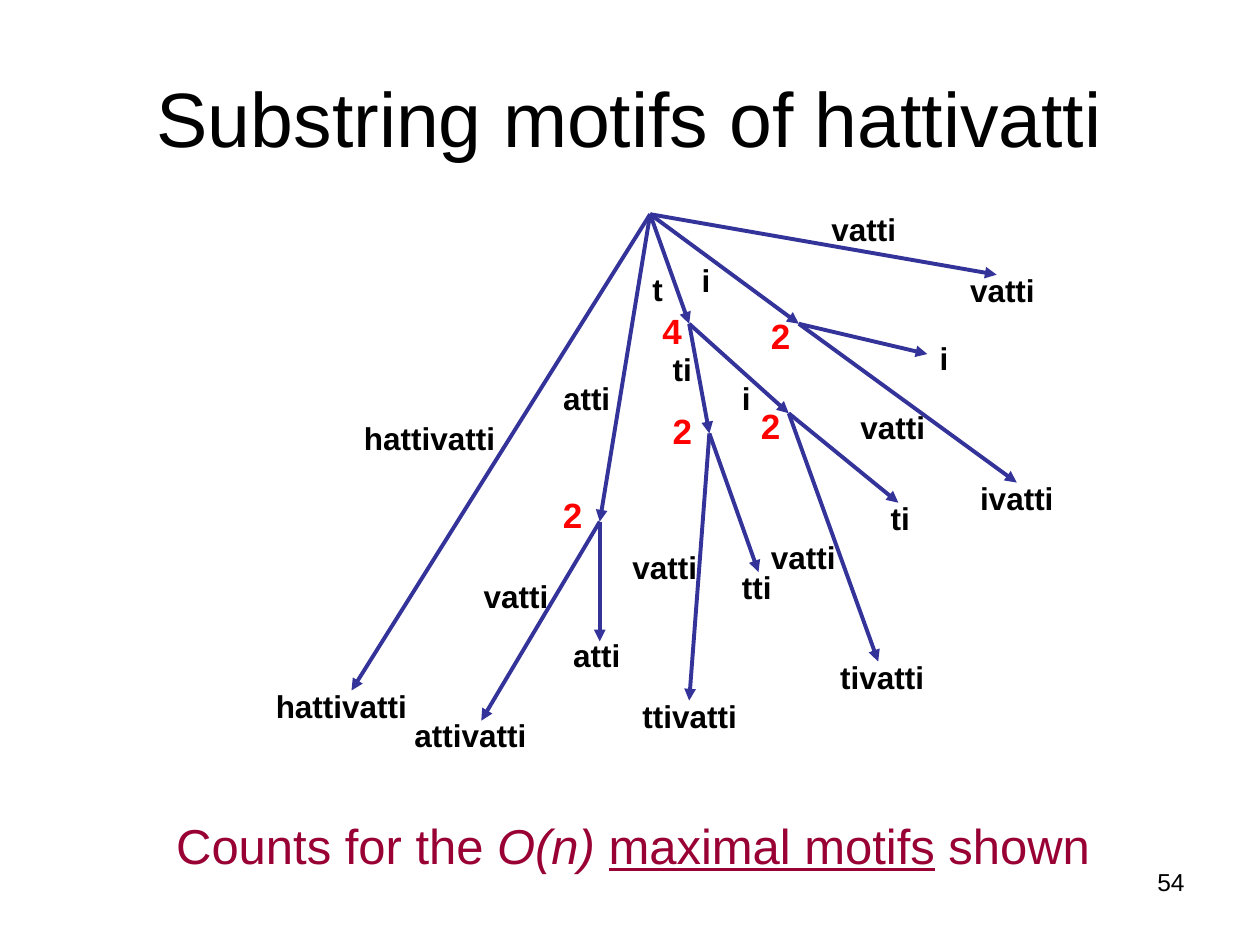
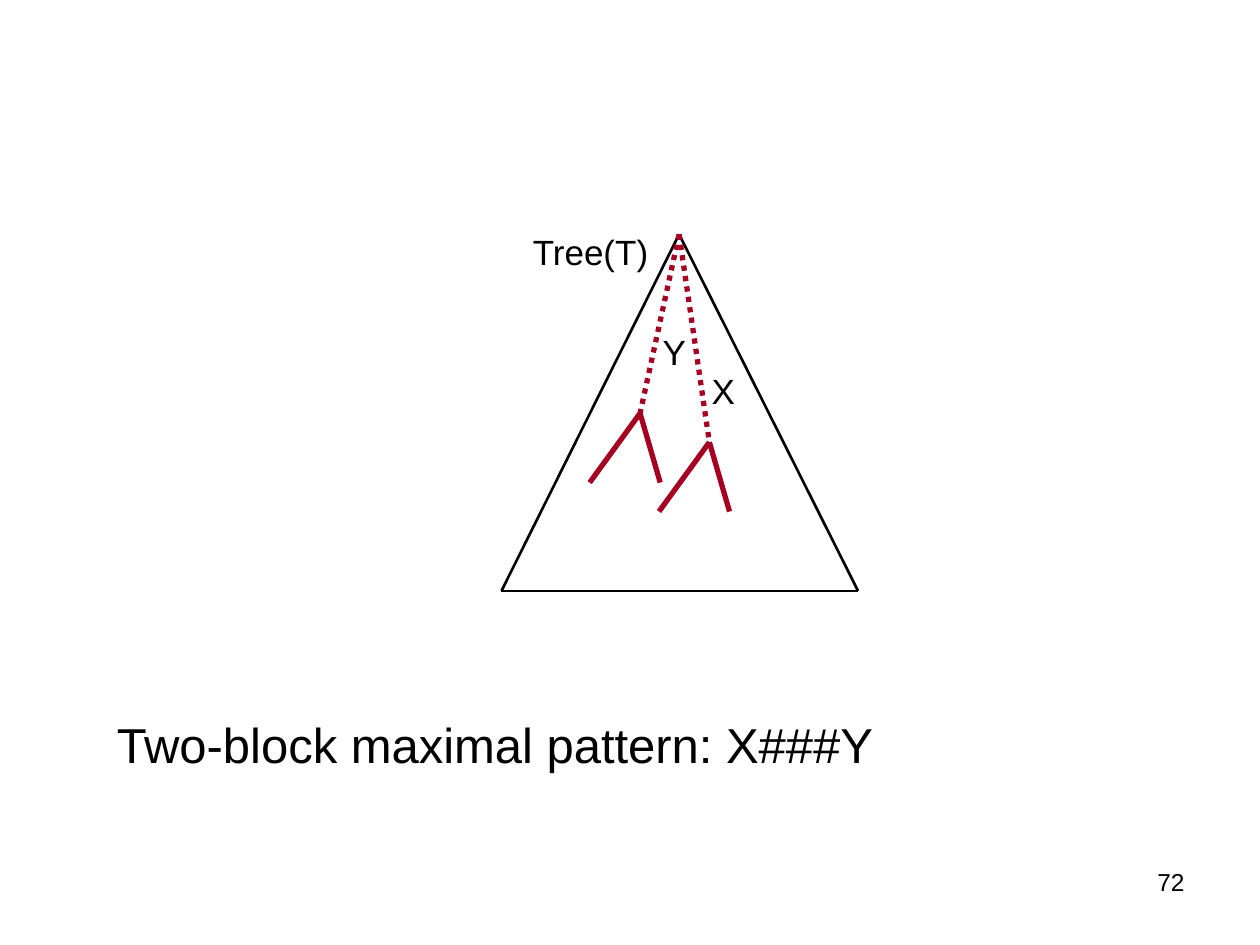
from lxml import etree
from pptx import Presentation
from pptx.dml.color import RGBColor
from pptx.enum.dml import MSO_LINE
from pptx.enum.shapes import MSO_CONNECTOR
from pptx.enum.text import MSO_ANCHOR, PP_ALIGN
from pptx.oxml.ns import qn
from pptx.util import Inches, Pt

FONT = "Arial"
COLORS = {"ink": "000000", "branch": "333399", "count": "FF0000",
          "caption": "990033", "path": "A50021"}
TITLE_ONLY, BLANK = 5, 6

# Suffix tree: node -> position
NODES = {
    "root": (5.16, 1.70), "hattivatti": (2.79, 5.48),
    "atti": (4.76, 4.14), "attivatti": (3.82, 5.72), "atti end": (4.76, 5.09),
    "t": (5.47, 2.57), "tti": (5.63, 3.44), "ttivatti": (5.47, 5.56),
    "tti end": (6.02, 4.54), "ti": (6.26, 3.28), "tivatti": (6.97, 5.25),
    "ti end": (7.13, 3.99), "i": (6.34, 2.57), "ivatti": (8.07, 3.83),
    "i end": (7.36, 2.81), "vatti": (7.91, 2.18),
}
CHILDREN = {
    "root": ["hattivatti", "atti", "t", "i", "vatti"],
    "atti": ["attivatti", "atti end"],
    "t": ["tti", "ti"],
    "tti": ["ttivatti", "tti end"],
    "ti": ["tivatti", "ti end"],
    "i": ["ivatti", "i end"],
}
# (text, left, top, width)
LEAF_LABELS = [
    ("hattivatti", 2.09, 5.40, 1.42), ("attivatti", 3.19, 5.63, 1.42),
    ("ttivatti", 5.00, 5.48, 1.10), ("tivatti", 6.57, 5.17, 1.10),
    ("ivatti", 7.68, 3.75, 1.10), ("vatti", 7.60, 2.10, 0.79),
    ("atti", 4.45, 5.00, 0.79), ("tti", 5.79, 4.46, 0.79),
    ("ti", 6.97, 3.91, 0.47), ("i", 7.36, 2.64, 0.39),
]
EDGE_LABELS = [
    ("hattivatti", 2.79, 3.28, 1.42), ("atti", 4.37, 2.96, 0.79),
    ("vatti", 3.74, 4.53, 0.79), ("t", 5.08, 2.09, 0.47),
    ("ti", 5.24, 2.73, 0.79), ("vatti", 4.92, 4.30, 0.79),
    ("i", 5.79, 2.96, 0.79), ("vatti", 6.02, 4.22, 0.79),
    ("i", 5.47, 2.02, 0.39), ("vatti", 6.73, 3.19, 0.79),
    ("vatti", 6.50, 1.62, 0.79),
]
MOTIF_COUNTS = [
    ("2", 4.37, 3.87, 0.47), ("2", 5.24, 3.20, 0.47), ("2", 5.94, 3.16, 0.47),
    ("2", 6.02, 2.45, 0.47), ("4", 5.16, 2.41, 0.47),
]
# (text, font attributes)
CAPTION = [("Counts for the ", {}), ("O(n) ", {"italic": True}),
           ("maximal motifs", {"underline": True}), (" shown", {})]

# Tree outline and the two matched blocks
APEX, BASE_LEFT, BASE_RIGHT = (5.39, 1.86), (3.98, 4.69), (6.81, 4.69)
BLOCK_NODES = [(5.08, 3.28), (5.63, 3.51)]
FORK_OFFSETS = [(-0.40, 0.55), (0.16, 0.55)]
TREE_LABELS = [("Tree(T)", 4.13, 1.78, 1.18), ("Y", 5.16, 2.57, 0.71),
               ("X", 5.55, 2.88, 0.71)]


def add_run(paragraph, text, size, color, **attributes):
    run = paragraph.add_run()
    run.text = text
    font = run.font
    font.name, font.size = FONT, Pt(size)
    font.color.rgb = RGBColor.from_string(COLORS[color])
    for attribute, value in attributes.items():
        setattr(font, attribute, value)


def add_text(slide, box, runs, size, color="ink", align=PP_ALIGN.LEFT, **attributes):
    """Add a one-paragraph text box; runs is a list of (text, font attributes)."""
    frame = slide.shapes.add_textbox(*map(Inches, box)).text_frame
    frame.word_wrap = True
    paragraph = frame.paragraphs[0]
    paragraph.alignment = align
    for text, extra in runs:
        add_run(paragraph, text, size, color, **attributes, **extra)


def add_labels(slide, labels, size, height, color="ink", **attributes):
    for text, left, top, width in labels:
        add_text(slide, (left, top, width, height), [(text, {})], size, color, **attributes)


def add_line(slide, start, end, color, width, dash=None, arrow=False):
    connector = slide.shapes.add_connector(
        MSO_CONNECTOR.STRAIGHT, *map(Inches, (*start, *end)))
    line = connector.line
    line.color.rgb = RGBColor.from_string(COLORS[color])
    line.width = Pt(width)
    if dash:
        line.dash_style = dash
    properties = connector._element.spPr
    if arrow:
        etree.SubElement(properties.find(qn("a:ln")), qn("a:tailEnd"), type="triangle")
    etree.SubElement(properties, qn("a:effectLst"))


def add_slide(prs, layout, number):
    slide = prs.slides.add_slide(prs.slide_layouts[layout])
    add_text(slide, (7.17, 6.83, 2.33, 0.52), [(number, {})], 14, align=PP_ALIGN.RIGHT)
    return slide


def build_motif_slide(prs):
    slide = add_slide(prs, TITLE_ONLY, "54")
    title = slide.shapes.title
    title.left, title.top, title.width, title.height = map(Inches, (0.5, 0.3, 9, 1.25))
    title.text_frame.vertical_anchor = MSO_ANCHOR.MIDDLE
    heading = title.text_frame.paragraphs[0]
    heading.alignment = PP_ALIGN.CENTER
    add_run(heading, "Substring motifs of hattivatti", 44, "ink")

    for parent, children in CHILDREN.items():
        for child in children:
            add_line(slide, NODES[parent], NODES[child], "branch", 2.25, arrow=True)
    add_labels(slide, LEAF_LABELS + EDGE_LABELS, 18, 0.4, bold=True)
    add_labels(slide, MOTIF_COUNTS, 20, 0.44, "count", bold=True)
    add_text(slide, (1.3, 6.42, 7.48, 0.57), CAPTION, 28, "caption")


def build_pattern_slide(prs):
    slide = add_slide(prs, BLANK, "72")
    for start, end in [(APEX, BASE_LEFT), (APEX, BASE_RIGHT), (BASE_RIGHT, BASE_LEFT)]:
        add_line(slide, start, end, "ink", 1.5)
    for node in BLOCK_NODES:
        add_line(slide, APEX, node, "path", 3, dash=MSO_LINE.ROUND_DOT)
        for dx, dy in FORK_OFFSETS:
            add_line(slide, node, (node[0] + dx, node[1] + dy), "path", 3)
    add_labels(slide, TREE_LABELS, 20, 0.44)
    add_text(slide, (0.83, 5.62, 6.54, 0.57),
             [("Two-block maximal pattern: X###Y", {})], 28)


def main():
    prs = Presentation()
    prs.slide_width, prs.slide_height = Inches(10), Inches(7.5)
    build_motif_slide(prs)
    build_pattern_slide(prs)
    prs.save("out.pptx")


if __name__ == "__main__":
    main()
